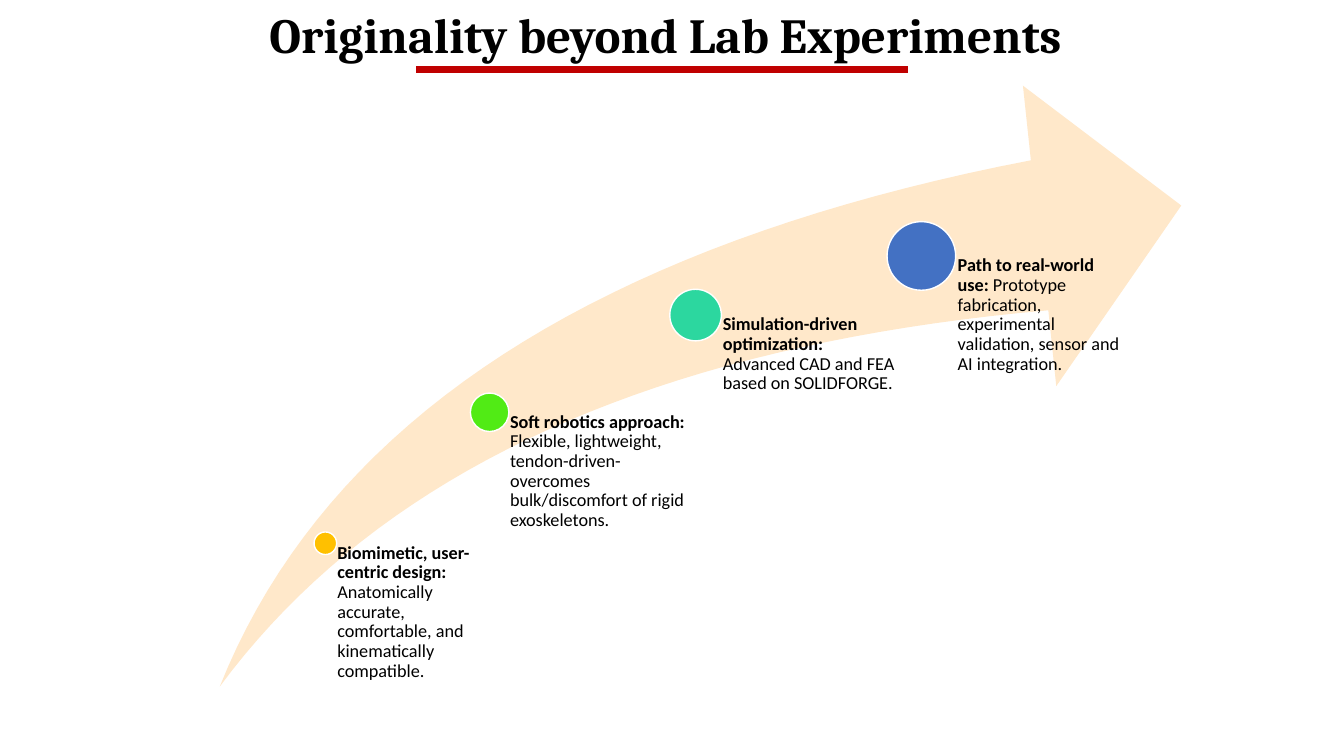
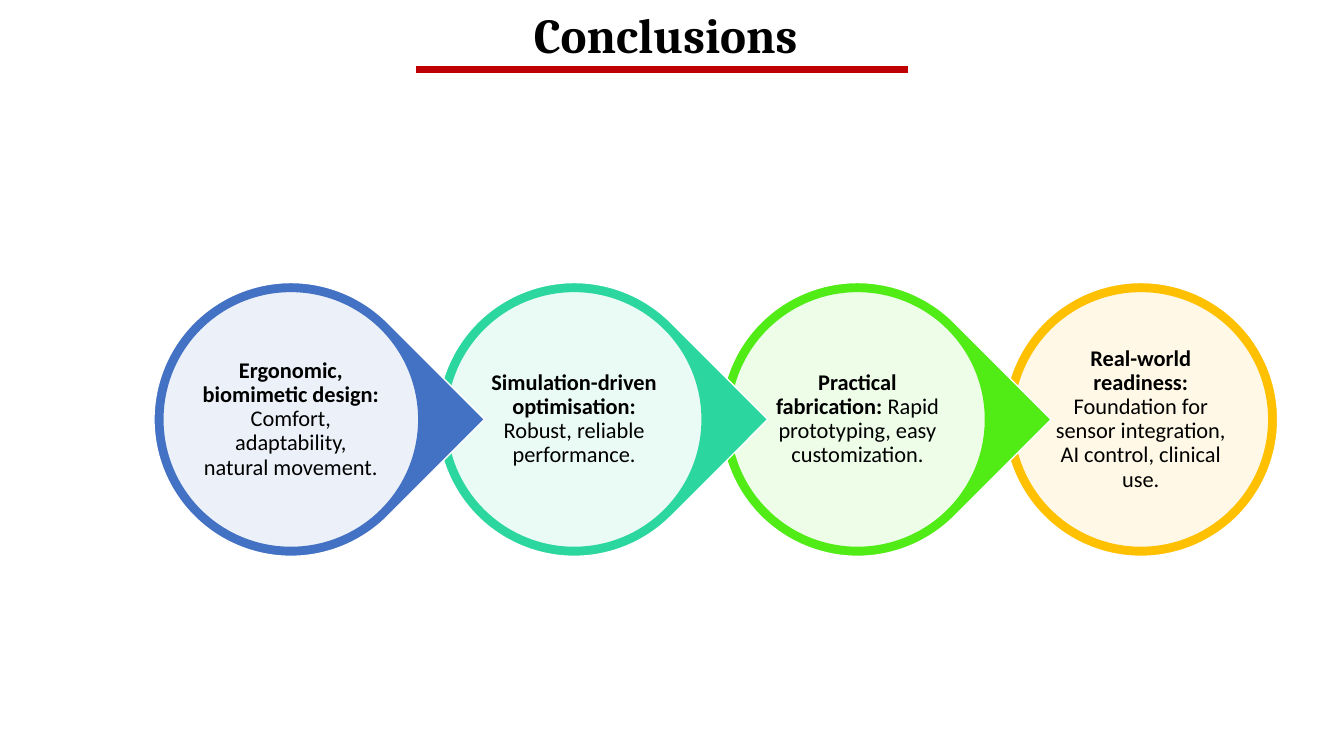
from dataclasses import dataclass

from lxml import etree
from pptx import Presentation
from pptx.dml.color import RGBColor
from pptx.enum.shapes import MSO_CONNECTOR, MSO_SHAPE
from pptx.enum.text import MSO_ANCHOR, MSO_AUTO_SIZE, PP_ALIGN
from pptx.oxml.ns import qn
from pptx.util import Cm, Pt

CENTER, LEFT = PP_ALIGN.CENTER, PP_ALIGN.LEFT
TOP, MIDDLE = MSO_ANCHOR.TOP, MSO_ANCHOR.MIDDLE
OVAL, TEAR = MSO_SHAPE.OVAL, MSO_SHAPE.TEAR
STRAIGHT = MSO_CONNECTOR.STRAIGHT
GROW = MSO_AUTO_SIZE.SHAPE_TO_FIT_TEXT

# Shared look
TITLE_FONT, BODY_FONT = "Cambria", "Calibri"
BLACK, WHITE, RED, PEACH = "000000", "FFFFFF", "C00000", "FFE8CA"
AMBER, GREEN, TEAL, BLUE = "FFC000", "51EB15", "2CD79F", "4371C3"
TITLE_MID = 16.78
CURVE_STEPS = 40

# Conclusion chain, in cm
CHAIN_LEFT, CHAIN_TOP, CHAIN_PITCH = 3.88, 7.12, 7.14
DROP_SIZE, DISC_SIZE, LABEL_SIZE = 6.9, 6.45, 4.62

# Growth arrow, in cm
ARROW_BOTTOM = 17.3
ARROW_TAIL = (5.54, ARROW_BOTTOM)
ARROW_UPPER = (ARROW_TAIL, (8.23, 10.57), (15.06, 6.15), (25.98, 4.04))
ARROW_HEAD = [(25.78, 2.16), (29.77, 5.18), (26.62, 9.73)]
ARROW_LOWER = ((26.42, 7.82), (16.54, 8.69), (9.58, 11.84), ARROW_TAIL)


@dataclass
class Milestone:
    x: float
    y: float
    size: float
    width: float
    color: str
    lead: str
    detail: str


@dataclass
class Conclusion:
    color: str
    lead: str
    detail: str


MILESTONES = [
    Milestone(8.2, 13.69, 0.57, 4.14, AMBER, "Biomimetic, user-centric design: ",
              "Anatomically accurate, comfortable, and kinematically compatible."),
    Milestone(12.34, 10.39, 0.97, 5.08, GREEN, "Soft robotics approach: ",
              "Flexible, lightweight, tendon-driven-overcomes bulk/discomfort "
              "of rigid exoskeletons."),
    Milestone(17.53, 7.94, 1.3, 5.08, TEAL, "Simulation-driven optimization: ",
              "Advanced CAD and FEA based on SOLIDFORGE."),
    Milestone(23.22, 6.45, 1.73, 5.08, BLUE, "Path to real-world use: ",
              "Prototype fabrication, experimental validation, sensor and "
              "AI integration."),
]
CONCLUSIONS = [
    Conclusion(BLUE, "Ergonomic, biomimetic design: ",
               "Comfort, adaptability, natural movement."),
    Conclusion(TEAL, "Simulation-driven optimisation: ",
               "Robust, reliable performance."),
    Conclusion(GREEN, "Practical fabrication: ",
               "Rapid prototyping, easy customization."),
    Conclusion(AMBER, "Real-world readiness: ",
               "Foundation for sensor integration, AI control, clinical use."),
]


def rgb(color: str) -> RGBColor:
    return RGBColor.from_string(color)


def paint(sp, fill: str, line: str = "") -> None:
    sp.shadow.inherit = False
    sp.fill.solid()
    sp.fill.fore_color.rgb = rgb(fill)
    if line:
        sp.line.color.rgb = rgb(line)
        sp.line.width = Pt(1)
    else:
        sp.line.fill.background()


def add_round(s, kind, cx: float, cy: float, size: float, fill: str, line: str):
    """Draw a preset shape of equal width and height around a centre."""
    sp = s.shapes.add_shape(kind, Cm(cx - size / 2), Cm(cy - size / 2),
                            Cm(size), Cm(size))
    paint(sp, fill, line)
    return sp


def set_opacity(sp, percent: int) -> None:
    color = sp.fill._xPr.find(qn("a:solidFill"))[0]
    etree.SubElement(color, qn("a:alpha")).set("val", str(percent * 1000))


def add_run(p, text: str, font: str, size: float, bold: bool) -> None:
    r = p.add_run()
    r.text = text
    r.font.name = font
    r.font.size = Pt(size)
    r.font.bold = bold
    r.font.color.rgb = rgb(BLACK)


def add_label(s, x: float, y: float, w: float, h: float, lead: str, detail: str,
              size: float, insets: tuple[float, float, float, float],
              align=LEFT, anchor=TOP) -> None:
    tf = s.shapes.add_textbox(Cm(x), Cm(y), Cm(w), Cm(h)).text_frame
    tf.word_wrap = True
    tf.vertical_anchor = anchor
    (tf.margin_left, tf.margin_top,
     tf.margin_right, tf.margin_bottom) = [Cm(v) for v in insets]
    p = tf.paragraphs[0]
    p.alignment = align
    p.line_spacing = 0.9
    add_run(p, lead, BODY_FONT, size, True)
    add_run(p, detail, BODY_FONT, size, False)


def add_titled_slide(prs, title: str, width: float):
    s = prs.slides.add_slide(prs.slide_layouts[6])
    box = s.shapes.add_textbox(Cm(TITLE_MID - width / 2), Cm(0), Cm(width), Cm(1.75))
    tf = box.text_frame
    tf.word_wrap = False
    tf.auto_size = GROW
    p = tf.paragraphs[0]
    p.alignment = CENTER
    add_run(p, title, TITLE_FONT, 35, True)
    # Red rule under the title
    rule = s.shapes.add_connector(STRAIGHT, Cm(10.49), Cm(1.75), Cm(22.89), Cm(1.75))
    rule.line.color.rgb = rgb(RED)
    rule.line.width = Pt(4.5)
    etree.SubElement(rule.line._get_or_add_ln().getparent(), qn("a:effectLst"))
    return s


def bezier(a, b, c, d) -> list[tuple[float, float]]:
    """Return points along a cubic curve, both ends included."""
    points = []
    for i in range(CURVE_STEPS + 1):
        t = i / CURVE_STEPS
        u = 1 - t
        weights = (u ** 3, 3 * u * u * t, 3 * u * t * t, t ** 3)
        points.append(tuple(sum(w * v for w, v in zip(weights, axis))
                            for axis in zip(a, b, c, d)))
    return points


def add_growth_arrow(s) -> None:
    outline = bezier(*ARROW_UPPER) + ARROW_HEAD + bezier(*ARROW_LOWER)
    points = [(Cm(x), Cm(y)) for x, y in outline]
    builder = s.shapes.build_freeform(*points[0])
    builder.add_line_segments(points[1:-1], close=True)
    paint(builder.convert_to_shape(), PEACH)


def add_milestone(s, m: Milestone) -> None:
    add_round(s, OVAL, m.x, m.y, m.size, m.color, WHITE)
    add_label(s, m.x, m.y, m.width, ARROW_BOTTOM - m.y, m.lead, m.detail, 13,
              (0.53 * m.size, 0, 0, 0))


def add_conclusion(s, index: int, c: Conclusion, is_last: bool) -> None:
    cx = CHAIN_LEFT + index * CHAIN_PITCH + DROP_SIZE / 2
    cy = CHAIN_TOP + DROP_SIZE / 2
    drop = add_round(s, OVAL if is_last else TEAR, cx, cy, DROP_SIZE, c.color, WHITE)
    if not is_last:
        drop.rotation = 45
    disc = add_round(s, OVAL, cx, cy, DISC_SIZE, WHITE, c.color)
    set_opacity(disc, 90)
    add_label(s, cx - LABEL_SIZE / 2, cy - LABEL_SIZE / 2, LABEL_SIZE, LABEL_SIZE,
              c.lead, c.detail, 16, (0.05,) * 4, CENTER, MIDDLE)


def main() -> None:
    prs = Presentation()
    prs.slide_width, prs.slide_height = Cm(33.87), Cm(19.05)

    # Milestones along the growth arrow
    s = add_titled_slide(prs, "Originality beyond Lab Experiments", 21.42)
    add_growth_arrow(s)
    for m in MILESTONES:
        add_milestone(s, m)

    # Chain of conclusions, drawn right to left so each tip overlaps the next
    s = add_titled_slide(prs, "Conclusions", 7.66)
    last = len(CONCLUSIONS) - 1
    for i in range(last, -1, -1):
        add_conclusion(s, i, CONCLUSIONS[i], i == last)

    prs.save("out.pptx")


if __name__ == "__main__":
    main()
